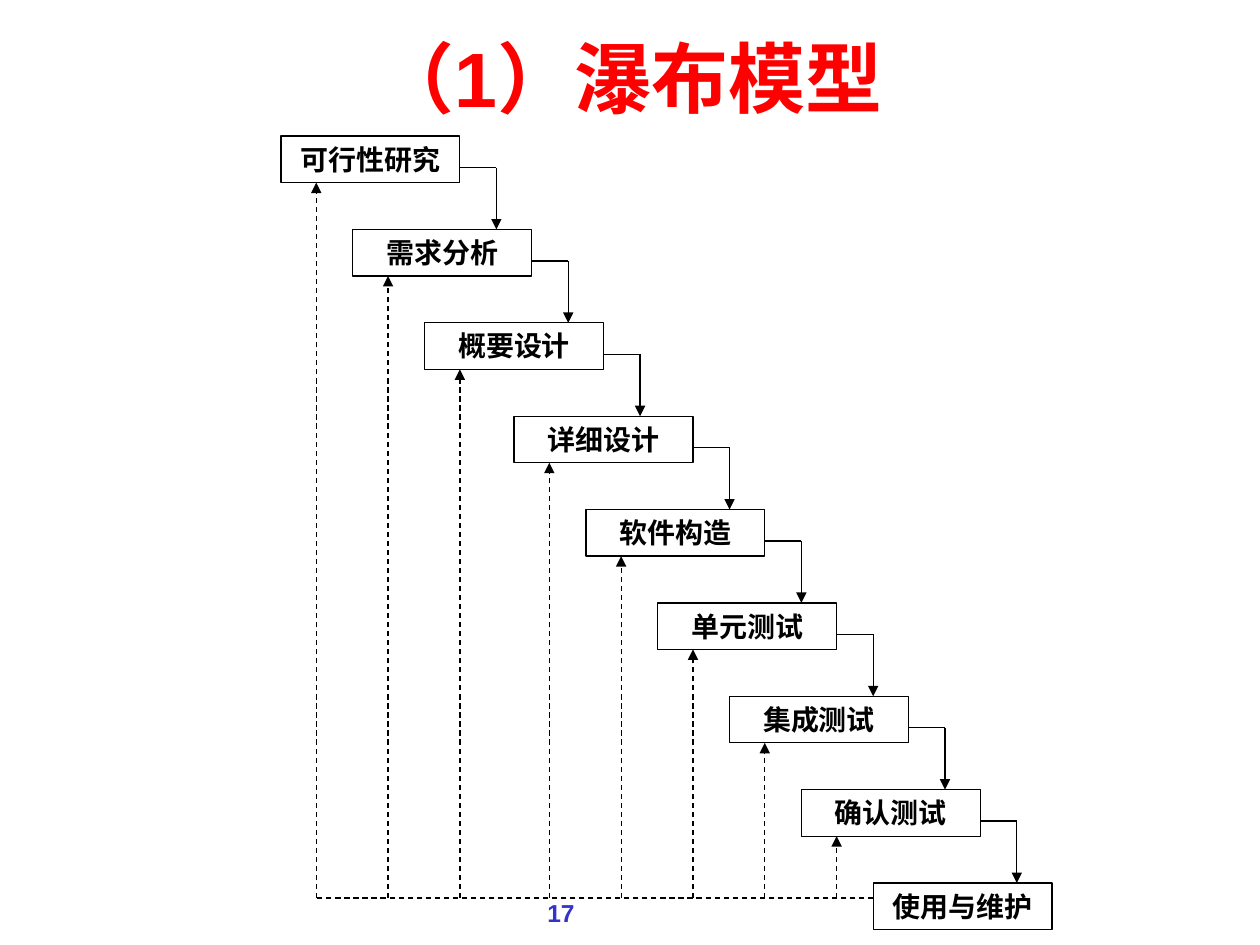
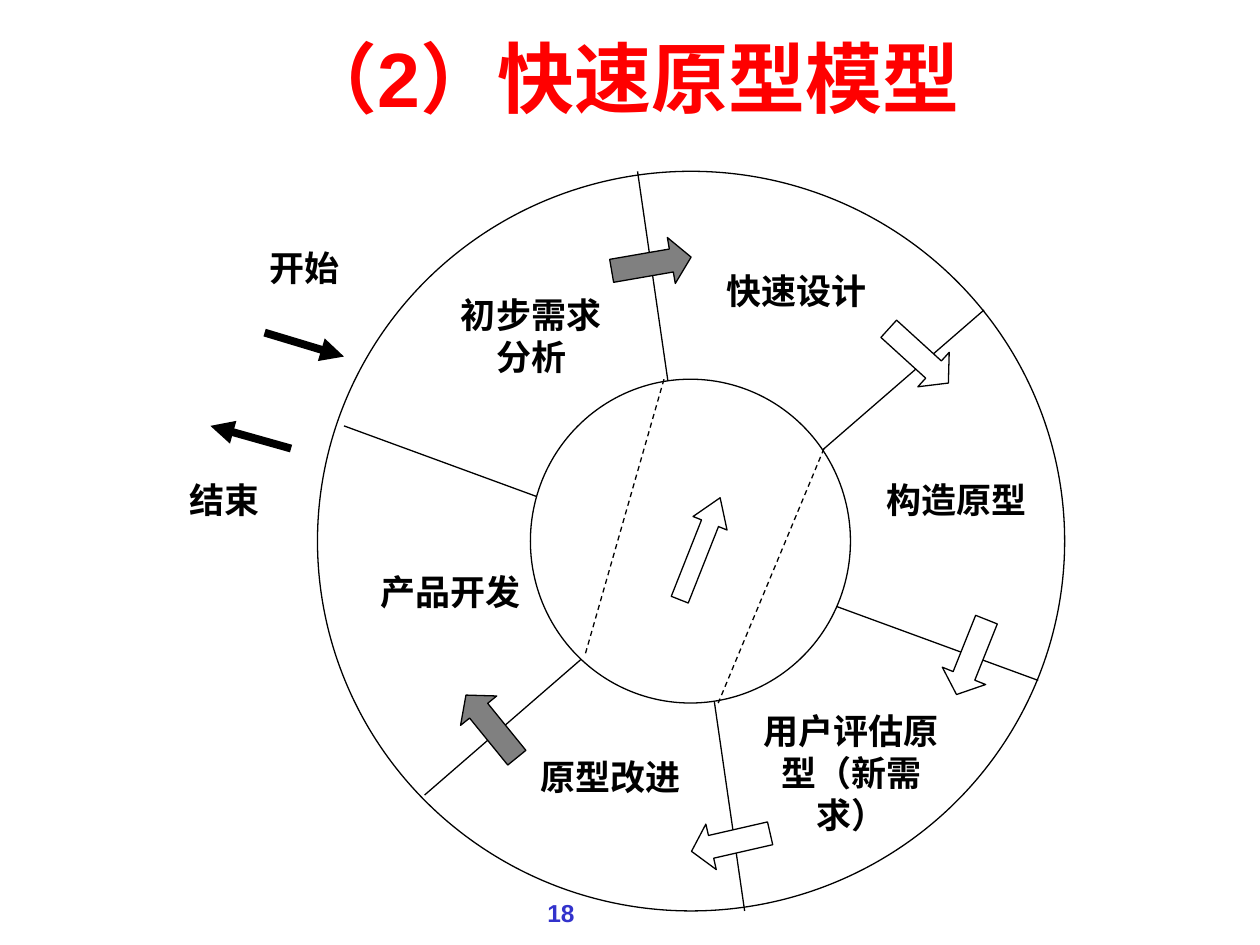
from dataclasses import dataclass

from lxml.etree import SubElement
from pptx import Presentation
from pptx.dml.color import RGBColor
from pptx.enum.dml import MSO_LINE
from pptx.enum.shapes import MSO_CONNECTOR, MSO_SHAPE
from pptx.enum.text import MSO_ANCHOR, MSO_AUTO_SIZE, PP_ALIGN
from pptx.oxml.ns import qn
from pptx.util import Inches, Pt

BLACK = RGBColor(0x00, 0x00, 0x00)
WHITE = RGBColor(0xFF, 0xFF, 0xFF)
RED = RGBColor(0xFF, 0x00, 0x00)
BLUE = RGBColor(0x33, 0x33, 0xCC)
GRAY = RGBColor(0x80, 0x80, 0x80)

LATIN = "Arial"
SERIF = "Times New Roman"
CHINESE = "Noto Sans CJK SC"
TITLE_ONLY = 5
HAIRLINE = 0.75

PHASES = ["可行性研究", "需求分析", "概要设计", "详细设计", "软件构造",
          "单元测试", "集成测试", "确认测试", "使用与维护"]


@dataclass
class Region:
    """A part of a slide with its own origin, in inches."""
    slide: object
    left: float
    top: float

    def frame(self, left, top, width, height):
        """Turn a local box into slide lengths."""
        return (Inches(self.left + left), Inches(self.top + top),
                Inches(width), Inches(height))

    def shape(self, preset, box, fill=WHITE):
        """Add an outlined preset shape."""
        outline = self.slide.shapes.add_shape(preset, *self.frame(*box))
        outline.shadow.inherit = False
        outline.fill.solid()
        outline.fill.fore_color.rgb = fill
        outline.line.color.rgb = BLACK
        outline.line.width = Pt(HAIRLINE)
        return outline

    def line(self, start, end, arrow=False, dashed=False, weight=HAIRLINE):
        """Add a straight line, optionally dashed or with an arrowhead."""
        (x1, y1), (x2, y2) = start, end
        connector = self.slide.shapes.add_connector(
            MSO_CONNECTOR.STRAIGHT,
            Inches(self.left + x1), Inches(self.top + y1),
            Inches(self.left + x2), Inches(self.top + y2))
        connector.line.color.rgb = BLACK
        connector.line.width = Pt(weight)
        if dashed:
            connector.line.dash_style = MSO_LINE.DASH
        properties = connector.element.spPr
        if arrow:
            SubElement(properties.find(qn("a:ln")), qn("a:tailEnd"), type="triangle")
        SubElement(properties, qn("a:effectLst"))

    def label(self, text, box, size=20, font=SERIF, color=BLACK, align=PP_ALIGN.CENTER):
        """Add a wrapped text box."""
        holder = self.slide.shapes.add_textbox(*self.frame(*box))
        write(holder.text_frame, text, size, font, color, align)


def write(frame, text, size, font, color, align=PP_ALIGN.CENTER, anchor=MSO_ANCHOR.TOP):
    """Fill a text frame with bold text, one paragraph a line."""
    frame.word_wrap = True
    frame.auto_size = MSO_AUTO_SIZE.NONE
    frame.vertical_anchor = anchor
    for index, content in enumerate(text.split("\n")):
        paragraph = frame.add_paragraph() if index else frame.paragraphs[0]
        paragraph.alignment = align
        run = paragraph.add_run()
        run.text = content
        run.font.size = Pt(size)
        run.font.bold = True
        run.font.name = font
        run.font.color.rgb = color
        SubElement(run.font._element, qn("a:ea"), typeface=CHINESE)


def add_titled_slide(deck, title, number):
    """Add a slide with the shared title and page number."""
    slide = deck.slides.add_slide(deck.slide_layouts[TITLE_ONLY])
    page = Region(slide, 0, 0)
    heading = slide.shapes.title
    heading.left, heading.top, heading.width, heading.height = page.frame(0.5, 0.17, 9, 0.87)
    write(heading.text_frame, title, 44, LATIN, RED, anchor=MSO_ANCHOR.MIDDLE)
    page.label(str(number), (2.33, 7.08, 2.33, 0.27), 14, LATIN, BLUE, PP_ALIGN.RIGHT)
    return slide


def draw_waterfall(region):
    """Draw the staircase of phases with forward and feedback arrows."""
    width, height = 1.42, 0.37
    step_x, step_y, design_gap = 0.57, 0.741, 0.14
    exit_y, exit_length, feedback_x = 0.25, 0.29, 0.28
    last = len(PHASES) - 1
    corners = [(step_x * i + (design_gap if i >= 3 else 0), step_y * i)
               for i in range(len(PHASES))]
    return_y = corners[last][1] + 0.12

    for phase, (x, y) in zip(PHASES, corners):
        step = region.shape(MSO_SHAPE.RECTANGLE, (x, y, width, height))
        write(step.text_frame, phase, 16, CHINESE, BLACK)
    for x, y in corners[:last]:
        turn = (x + width + exit_length, y + exit_y)
        region.line((x + width, y + exit_y), turn)
        region.line(turn, (turn[0], y + step_y), arrow=True)
        region.line((x + feedback_x, return_y), (x + feedback_x, y + height),
                    arrow=True, dashed=True)
    region.line((corners[last][0], return_y), (feedback_x, return_y), dashed=True)


def draw_wheel(region):
    """Draw the ring of prototype stages around its hub."""
    region.shape(MSO_SHAPE.OVAL, (1.27, 0, 5.93, 5.87))
    for start, end in [((1.48, 2.02), (6.99, 4.04)),
                       ((3.81, 0), (4.66, 5.87)),
                       ((6.56, 1.1), (2.12, 4.95))]:
        region.line(start, end)
    region.shape(MSO_SHAPE.OVAL, (2.96, 1.65, 2.54, 2.57))
    for start, end in [((4.02, 1.65), (3.39, 3.85)), ((5.29, 2.2), (4.45, 4.22))]:
        region.line(start, end, dashed=True)

    for stage, x, y in [("初步需求\n分析", 2.12, 0.92),
                        ("快速设计", 4.23, 0.73),
                        ("构造原型", 5.5, 2.39),
                        ("用户评估原型（新需求）", 4.66, 4.22),
                        ("原型改进", 2.75, 4.59),
                        ("产品开发", 1.48, 3.12)]:
        region.label(stage, (x, y, 1.69, 0.92))


def draw_flow_arrows(region):
    """Draw the block arrows that lead from stage to stage."""
    width, height = 0.64, 0.37
    for box, angle, head, fill in [
            ((3.6, 0.55, width, height), 350.2, 0.43, GRAY),
            ((5.72, 1.28, width, height), 42.3, 0.43, WHITE),
            ((6.14, 3.67, width, height), 111.8, 0.43, WHITE),
            ((4.23, 5.14, width, height), 167.1, 0.43, WHITE),
            ((2.33, 4.22, width, height), 230.9, 0.43, GRAY),
            ((3.87, 2.85, 0.87, 0.29), 291.6, 0.75, WHITE)]:
        arrow = region.shape(MSO_SHAPE.RIGHT_ARROW, box, fill)
        arrow.rotation = angle
        arrow.adjustments[0] = 0.5
        arrow.adjustments[1] = head


def draw_entry_and_exit(region):
    """Draw the start and end labels with their heavy arrows."""
    for text, x, y, tail, tip in [
            ("开始", 0.64, 0.55, (0.85, 1.28), (1.48, 1.47)),
            ("结束", 0, 2.39, (1.06, 2.2), (0.42, 2.02))]:
        region.label(text, (x, y, 1.06, 0.55))
        region.line(tail, tip, arrow=True, weight=4.5)


def main():
    """Build both slides and save the deck."""
    deck = Presentation()
    deck.slide_width, deck.slide_height = Inches(10), Inches(7.5)

    waterfall = add_titled_slide(deck, "（1）瀑布模型", 17)
    draw_waterfall(Region(waterfall, 2.23, 1.08))

    prototype = Region(add_titled_slide(deck, "（2）快速原型模型", 18), 1.25, 1.36)
    draw_wheel(prototype)
    draw_flow_arrows(prototype)
    draw_entry_and_exit(prototype)

    deck.save("out.pptx")


if __name__ == "__main__":
    main()
